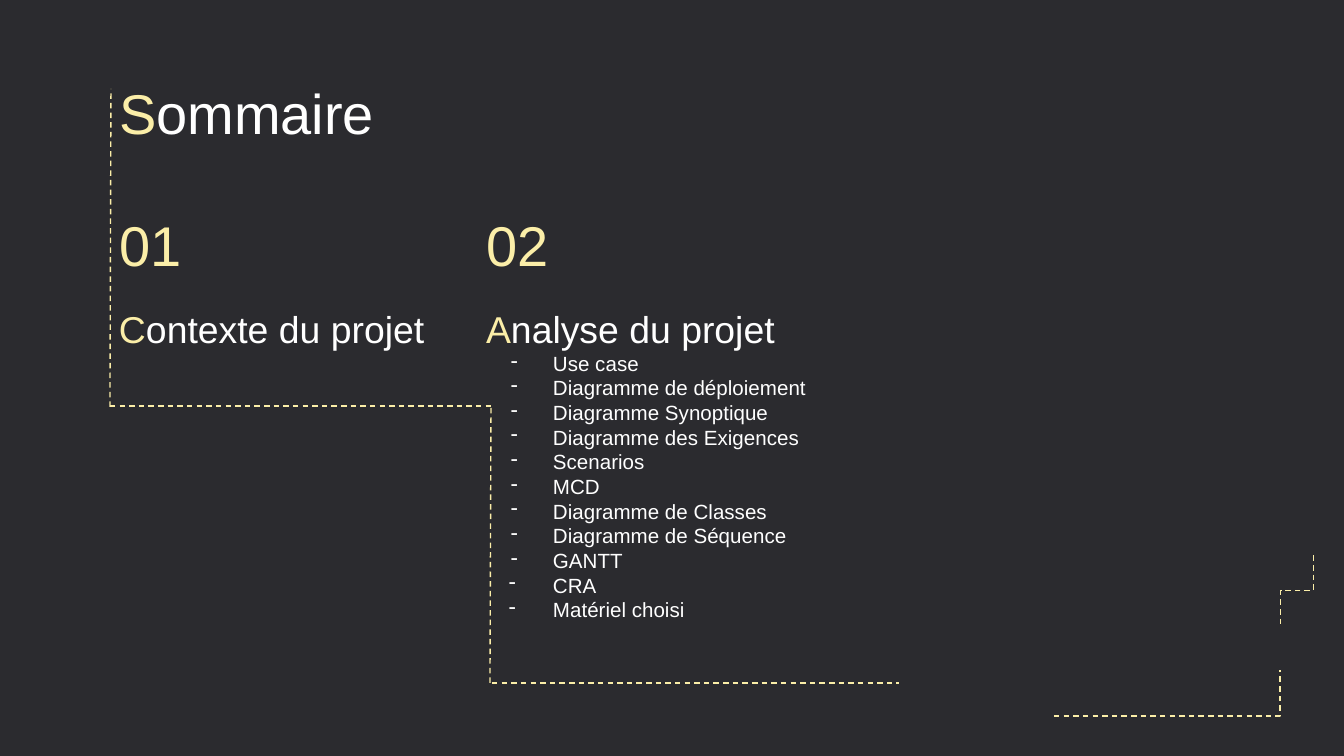
from lxml import etree
from pptx import Presentation
from pptx.dml.color import RGBColor
from pptx.enum.dml import MSO_LINE
from pptx.enum.shapes import MSO_CONNECTOR
from pptx.enum.text import MSO_ANCHOR, MSO_AUTO_SIZE, PP_ALIGN
from pptx.oxml.ns import qn
from pptx.util import Pt

STRAIGHT, ELBOW = MSO_CONNECTOR.STRAIGHT, MSO_CONNECTOR.ELBOW
TOP, MIDDLE = MSO_ANCHOR.TOP, MSO_ANCHOR.MIDDLE
PX = 914400 / 134.4
COLORS = {"background": "2B2B2F", "accent": "FBEEA8", "text": "FFFFFF"}
FONT = "Arial"

TITLE = "Sommaire"
SECTIONS = [
    {"number": "01", "heading": "Contexte du projet", "left": 106, "size": (352, 91),
     "topics": []},
    {"number": "02", "heading": "Analyse du projet", "left": 473, "size": (742, 396),
     "topics": ["Use case", "Diagramme de déploiement", "Diagramme Synoptique",
                "Diagramme des Exigences", "Scenarios", "MCD", "Diagramme de Classes",
                "Diagramme de Séquence", "GANTT", "CRA", "Matériel choisi"]},
]
NUMBER_TOP, HEADING_TOP = 211, 293
WIDE_HANG_TOPICS = ("CRA", "Matériel choisi")
PATH_LINES = [(110, 406, 492, 406), (492, 683, 899, 683),
              (490, 683, 491, 406), (110, 407, 111, 89)]
CORNER_LINE = (1054, 716, 1280, 670)
STEP_LINE = (1262, 574, 1332, 607)  # before its quarter turn


def px(value):
    return round(value * PX)


def color(name):
    return RGBColor.from_string(COLORS[name])


def set_frame(shape, anchor=TOP):
    frame = shape.text_frame
    frame.word_wrap = True
    frame.auto_size = MSO_AUTO_SIZE.NONE
    frame.vertical_anchor = anchor
    frame.margin_left = frame.margin_right = px(13)
    frame.margin_top = frame.margin_bottom = px(13)
    return frame


def add_text_box(left, top, width, height, anchor=TOP):
    box = slide.shapes.add_textbox(px(left), px(top), px(width), px(height))
    return set_frame(box, anchor)


def write(paragraph, parts, size):
    """Fill a paragraph with (text, colour name) parts."""
    paragraph.alignment = PP_ALIGN.LEFT
    for text, color_name in parts:
        run = paragraph.add_run()
        run.text = text
        run.font.name = FONT
        run.font.size = Pt(size)
        run.font.color.rgb = color(color_name)


def initial_accent(text):
    return [(text[0], "accent"), (text[1:], "text")]


def add_dash_bullet(paragraph, hang):
    props = paragraph._p.get_or_add_pPr()
    props.set("marL", str(px(67)))
    props.set("indent", str(-px(hang)))
    bullet_color = etree.SubElement(props, qn("a:buClr"))
    etree.SubElement(bullet_color, qn("a:srgbClr"), val=COLORS["text"])
    etree.SubElement(props, qn("a:buChar"), char="-")


def add_dashed_line(kind, ends):
    line = slide.shapes.add_connector(kind, *map(px, ends))
    line.line.color.rgb = color("accent")
    line.line.width = Pt(0.75)
    line.line.dash_style = MSO_LINE.DASH
    etree.SubElement(line._element.spPr, qn("a:effectLst"))
    return line


prs = Presentation()
prs.slide_width, prs.slide_height = px(1344), px(756)
slide = prs.slides.add_slide(prs.slide_layouts[5])
slide.background.fill.solid()
slide.background.fill.fore_color.rgb = color("background")

corner = add_dashed_line(ELBOW, CORNER_LINE)
corner._element.spPr.find(qn("a:prstGeom")).set("prst", "bentConnector2")
step = add_dashed_line(ELBOW, STEP_LINE)
step._element.spPr.find(qn("a:xfrm")).set("rot", str(90 * 60000))

title = slide.shapes.title
title.left, title.top, title.width, title.height = map(px, (106, 66, 1133, 85))
write(set_frame(title).paragraphs[0], initial_accent(TITLE), 30)

for section in SECTIONS:
    number = add_text_box(section["left"], NUMBER_TOP, 112, 66, MIDDLE)
    write(number.paragraphs[0], [(section["number"], "accent")], 30)
    body = add_text_box(section["left"], HEADING_TOP, *section["size"])
    write(body.paragraphs[0], initial_accent(section["heading"]), 20)
    for topic in section["topics"]:
        paragraph = body.add_paragraph()
        write(paragraph, [(topic, "text")], 11)
        add_dash_bullet(paragraph, 44 if topic in WIDE_HANG_TOPICS else 42)

for ends in PATH_LINES:
    add_dashed_line(STRAIGHT, ends)

prs.save("out.pptx")
